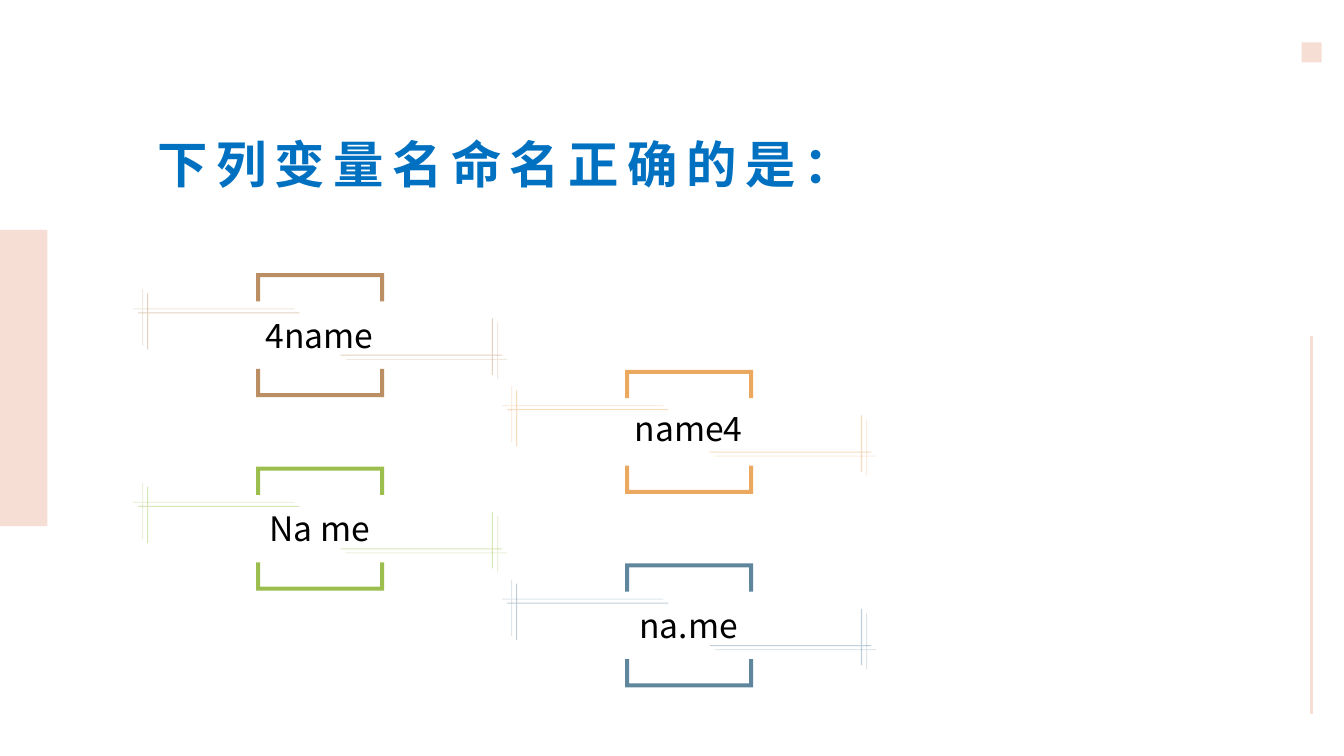
from dataclasses import dataclass

from lxml.etree import SubElement
from pptx import Presentation
from pptx.dml.color import RGBColor
from pptx.enum.shapes import MSO_CONNECTOR as Connector, MSO_SHAPE as Shape
from pptx.enum.text import MSO_ANCHOR as Anchor, MSO_AUTO_SIZE as AutoSize, PP_ALIGN as Align
from pptx.oxml.ns import qn
from pptx.util import Inches, Pt


@dataclass(frozen=True)
class Theme:
    font: str = "Noto Sans CJK SC"
    title: str = "0070C0"
    text: str = "000000"
    trim: str = "F6DED4"
    brown: str = "BC8E63"
    orange: str = "EBA85F"
    green: str = "9BBE4E"
    blue: str = "60869E"
    title_size: int = 36
    label_size: int = 24


THEME = Theme()

CARD_LEFT, CARD_TOP = 2.54, 2.71
COLUMN_STEP, ROW_STEP = 3.66, 0.96
FRAME_WIDTH, FRAME_HEIGHT, FRAME_ARM, FRAME_BAR = 1.27, 1.23, 0.28, 0.04
CROSS_WIDTH, CROSS_HEIGHT = 1.6, 0.56

# Name, colour and the drop of its label below the top of the card
OPTIONS = [
    ("4name", THEME.brown, 0.45),
    ("name4", THEME.orange, 0.42),
    ("Na me", THEME.green, 0.45),
    ("na.me", THEME.blue, 0.45),
]

# Offset from the card, opacity in percent, turned by half a turn
CROSSES = [
    (-1.17, 0.2, 40, False),
    (-1.22, 0.16, 20, False),
    (0.84, 0.45, 40, True),
    (0.89, 0.49, 20, True),
]


def write_text(box, text, *, size, color, bold=False, align=Align.LEFT,
               anchor=Anchor.TOP, line_spacing=None, tracking=0):
    frame = box.text_frame
    frame.word_wrap = True
    frame.vertical_anchor = anchor
    para = frame.paragraphs[0]
    para.alignment = align
    para.line_spacing = line_spacing
    span = para.add_run()
    span.text = text
    span.font.name = THEME.font
    span.font.size = Pt(size)
    span.font.bold = bold
    span.font.color.rgb = RGBColor.from_string(color)
    properties = span.font._element
    SubElement(properties, qn("a:ea")).set("typeface", THEME.font)
    if tracking:
        properties.set("spc", str(tracking * 100))


def paint(shape, color, opacity=100):
    shape.shadow.inherit = False
    shape.fill.solid()
    shape.fill.fore_color.rgb = RGBColor.from_string(color)
    shape.line.fill.background()
    if opacity < 100:
        color_node = shape._element.spPr.find(qn("a:solidFill"))[0]
        SubElement(color_node, qn("a:alpha")).set("val", str(opacity * 1000))


def add_block(page, left, top, width, height):
    block = page.shapes.add_shape(Shape.RECTANGLE, Inches(left), Inches(top),
                                  Inches(width), Inches(height))
    paint(block, THEME.trim)


def add_outline(page, left, top, contours, color, opacity=100):
    """Draw closed contours, given in inches from left and top, as one shape."""
    placed = [[(Inches(left + x), Inches(top + y)) for x, y in contour]
              for contour in contours]
    builder = page.shapes.build_freeform(*placed[0][0], scale=1.0)
    for index, contour in enumerate(placed):
        if index:
            builder.move_to(*contour[0])
        builder.add_line_segments(contour[1:], close=True)
    paint(builder.convert_to_shape(), color, opacity)


def add_brackets(page, left, top, color):
    width, height, arm, bar = FRAME_WIDTH, FRAME_HEIGHT, FRAME_ARM, FRAME_BAR
    upper = [(0, 0), (width, 0), (width, arm), (width - bar, arm),
             (width - bar, bar), (bar, bar), (bar, arm), (0, arm)]
    lower = [(x, height - y) for x, y in upper]
    add_outline(page, left, top, [lower, upper], color)


def add_cross(page, left, top, color, opacity, turned):
    x1, x2, y1, y2 = 0.09, 0.1, 0.19, 0.2
    width, height = CROSS_WIDTH, CROSS_HEIGHT
    points = [(x1, 0), (x2, 0), (x2, y1), (width, y1), (width, y2), (x2, y2),
              (x2, height), (x1, height), (x1, y2), (0, y2), (0, y1), (x1, y1)]
    if turned:
        points = [(width - x, height - y) for x, y in points]
    add_outline(page, left, top, [points], color, opacity)


def add_option(page, left, top, name, color, label_drop):
    add_brackets(page, left, top, color)
    for dx, dy, opacity, turned in CROSSES:
        add_cross(page, left + dx, top + dy, color, opacity, turned)
    label = page.shapes.add_textbox(Inches(left - 1.08), Inches(top + label_drop),
                                    Inches(3.42), Inches(0.32))
    write_text(label, name, size=THEME.label_size, color=THEME.text,
               align=Align.CENTER, anchor=Anchor.MIDDLE)


def add_trim(page):
    add_block(page, 0, 2.28, 0.47, 2.94)
    add_block(page, 12.91, 0.42, 0.2, 0.2)
    rule = page.shapes.add_connector(Connector.STRAIGHT, Inches(13.01), Inches(7.08),
                                     Inches(13.01), Inches(3.33))
    rule.line.color.rgb = RGBColor.from_string(THEME.trim)
    rule.line.width = Pt(2.25)
    SubElement(rule._element.spPr, qn("a:effectLst"))


def set_title(page, text):
    title = page.shapes.title
    title.left, title.top = Inches(1.46), Inches(1.34)
    title.width, title.height = Inches(6.81), Inches(0.71)
    write_text(title, text, size=THEME.title_size, color=THEME.title, bold=True,
               line_spacing=0.9, tracking=6)
    title.text_frame.auto_size = AutoSize.SHAPE_TO_FIT_TEXT


def main():
    deck = Presentation()
    deck.slide_width, deck.slide_height = Inches(13.33), Inches(7.5)
    page = deck.slides.add_slide(deck.slide_layouts.get_by_name("Title Only"))
    add_trim(page)
    set_title(page, "下列变量名命名正确的是：")
    for index, (name, color, label_drop) in enumerate(OPTIONS):
        add_option(page, CARD_LEFT + index % 2 * COLUMN_STEP,
                   CARD_TOP + index * ROW_STEP, name, color, label_drop)
    deck.save("out.pptx")


if __name__ == "__main__":
    main()
